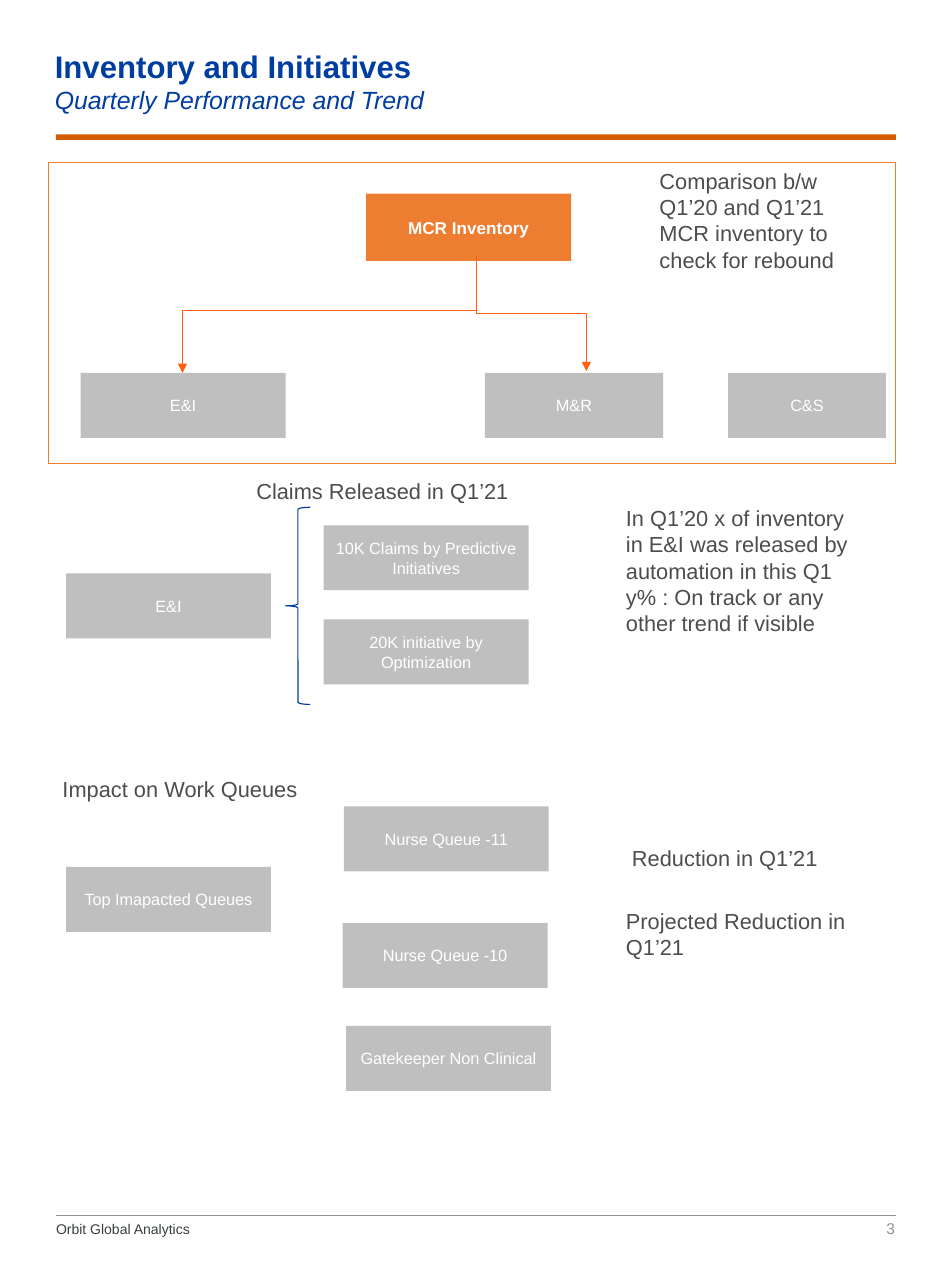
from pptx import Presentation
from pptx.dml.color import RGBColor
from pptx.enum.shapes import MSO_CONNECTOR as Connector, MSO_SHAPE as Shape
from pptx.enum.text import MSO_ANCHOR as Anchor, MSO_AUTO_SIZE as AutoSize, PP_ALIGN as Align
from pptx.oxml.ns import qn
from pptx.util import Inches, Pt
from lxml import etree

COLORS = {
    "title": "003DA1", "rule": "D45D00", "footer": "393E41", "muted": "8C9599",
    "orange": "ED7D31", "gray": "BFBFBF", "white": "FFFFFF", "arrow": "FF5F0E",
    "brace": "003C9D", "body": "4D4D4D",
}
BOX_WIDTH, BOX_HEIGHT = 1.83, 0.58


def color(name):
    return RGBColor.from_string(COLORS[name])


def add_run(paragraph, text, size, color_name, bold=False, italic=False):
    run = paragraph.add_run()
    run.text = text
    font = run.font
    font.name, font.size, font.bold, font.italic = "Arial", Pt(size), bold, italic
    font.color.rgb = color(color_name)


def add_shape(slide, kind, box, fill=None, line=None):
    shape = slide.shapes.add_shape(kind, *map(Inches, box))
    shape.shadow.inherit = False
    if fill:
        shape.fill.solid()
        shape.fill.fore_color.rgb = color(fill)
    else:
        shape.fill.background()
    if line:
        shape.line.color.rgb = color(line)
        shape.line.width = Pt(0.75)
    else:
        shape.line.fill.background()
    return shape


def add_node(slide, left, top, lines, width=BOX_WIDTH, height=BOX_HEIGHT,
             fill="gray", size=10.5, bold=False):
    frame = add_shape(slide, Shape.RECTANGLE, (left, top, width, height), fill).text_frame
    frame.word_wrap = True
    frame.vertical_anchor = Anchor.MIDDLE
    for index, line in enumerate(lines):
        paragraph = frame.add_paragraph() if index else frame.paragraphs[0]
        paragraph.alignment = Align.CENTER
        add_run(paragraph, line, size, "white", bold)


def add_note(slide, box, lines, gap=0):
    frame = slide.shapes.add_textbox(*map(Inches, box)).text_frame
    frame.word_wrap = True
    for index, line in enumerate(lines):
        paragraph = frame.add_paragraph() if index else frame.paragraphs[0]
        paragraph.space_before = Pt(gap if index else 0)
        paragraph.space_after = Pt(4)
        add_run(paragraph, line, 14, "body")


def add_line(slide, kind, start, end, color_name, width):
    line = slide.shapes.add_connector(kind, *map(Inches, start + end))
    line.line.color.rgb = color(color_name)
    line.line.width = Pt(width)
    etree.SubElement(line._element.spPr, qn("a:effectLst"))
    return line


def add_elbow_arrow(slide, start, end, width, preset, rotation=0):
    arrow = add_line(slide, Connector.ELBOW, start, end, "arrow", width)
    properties = arrow._element.spPr
    properties.find(qn("a:prstGeom")).set("prst", preset)
    properties.find(qn("a:xfrm")).set("rot", str(rotation * 60000))
    etree.SubElement(properties.find(qn("a:ln")), qn("a:tailEnd"), type="triangle")


def add_header(slide, left, top, width):
    title = slide.shapes.title
    title.left, title.top = Inches(left - 0.12), Inches(top)
    title.width, title.height = Inches(5.4), Inches(0.93)
    frame = title.text_frame
    frame.auto_size = AutoSize.NONE
    frame.word_wrap = True
    frame.vertical_anchor = Anchor.MIDDLE
    frame.margin_left = frame.margin_right = Inches(0.11)
    frame.margin_top = frame.margin_bottom = Inches(0.06)
    paragraph = frame.paragraphs[0]
    paragraph.alignment = Align.LEFT
    add_run(paragraph, "Inventory and Initiatives", 20, "title", bold=True)
    paragraph.add_line_break()
    add_run(paragraph, "Quarterly Performance and Trend", 16, "title", italic=True)
    add_shape(slide, Shape.RECTANGLE, (left, top + 0.94, width, 0.05), "rule")


def add_footer(slide, left, top, width):
    right = left + width
    add_line(slide, Connector.STRAIGHT, (left, top), (right, top), "muted", 0.5)
    parts = [
        ((left, top + 0.05, 5.95, 0.15), "Orbit Global Analytics", 9, "footer", Align.LEFT),
        ((right - 1, top - 0.08, 0.99, 0.28), "3", 10, "muted", Align.RIGHT),
    ]
    for box, text, size, color_name, alignment in parts:
        frame = slide.shapes.add_textbox(*map(Inches, box)).text_frame
        frame.word_wrap = True
        frame.vertical_anchor = Anchor.BOTTOM
        frame.margin_left = frame.margin_right = frame.margin_top = frame.margin_bottom = 0
        frame.paragraphs[0].alignment = alignment
        add_run(frame.paragraphs[0], text, size, color_name)


def add_inventory(slide, left, top, width, height):
    # Inventory root and its three segments
    add_node(slide, left + 2.84, top + 0.28, ["MCR Inventory"], height=0.6,
             fill="orange", size=11, bold=True)
    for offset, name, node_width in [(0.29, "E&I", BOX_WIDTH), (3.9, "M&R", 1.59),
                                     (6.07, "C&S", 1.41)]:
        add_node(slide, left + offset, top + 1.88, [name], node_width)

    # Arrows down to the segments
    add_elbow_arrow(slide, (left + 3.83, top + 1.32), (left + 1.2, top + 1.88),
                    0.5, "bentConnector2")
    add_elbow_arrow(slide, (left + 4.83, top + 0.86), (left + 3.8, top + 1.84),
                    0.75, "bentConnector3", rotation=270)

    add_note(slide, (left + 5.36, top, 1.83, 1.04),
             ["Comparison b/w Q1’20 and Q1’21 MCR inventory to check for rebound"])
    add_shape(slide, Shape.RECTANGLE, (left, top, width, height), line="orange")


def add_claims(slide, left, top):
    add_note(slide, (left + 1.6, top, 3.3, 0.34), ["Claims Released in Q1’21"])
    add_node(slide, left, top + 0.9, ["E&I"])
    add_shape(slide, Shape.LEFT_BRACE, (left + 1.96, top + 0.31, 0.22, 1.76), line="brace")
    releases = [["10K Claims by Predictive", "Initiatives"],
                ["20K initiative by Optimization"]]
    for index, lines in enumerate(releases):
        add_node(slide, left + 2.3, top + 0.47 + index * 0.84, lines)
    add_note(slide, (left + 4.9, top + 0.24, 2.25, 1.28),
             ["In Q1’20 x of inventory in E&I was released by automation in this Q1 "
              "y% : On track or any other trend if visible"])


def add_queues(slide, left, top):
    add_note(slide, (left - 0.13, top, 3.3, 0.34), ["Impact on Work Queues"])
    add_node(slide, left, top + 0.86, ["Top Imapacted Queues"])
    for x, y, name in [(2.48, 0.32, "Nurse Queue -11"), (2.47, 1.36, "Nurse Queue -10"),
                       (2.5, 2.28, "Gatekeeper Non Clinical")]:
        add_node(slide, left + x, top + y, [name])
    add_note(slide, (left + 4.9, top + 0.61, 2.25, 1.16),
             [" Reduction in Q1’21", "Projected Reduction in Q1’21"], gap=20)


def main():
    presentation = Presentation()
    presentation.slide_width, presentation.slide_height = Inches(8.5), Inches(11.5)
    slide = presentation.slides.add_slide(presentation.slide_layouts[5])
    add_header(slide, 0.5, 0.26, 7.5)
    add_inventory(slide, 0.43, 1.45, 7.57, 2.69)
    add_claims(slide, 0.59, 4.22)
    add_queues(slide, 0.59, 6.88)
    add_footer(slide, 0.5, 10.85, 7.5)
    presentation.save("out.pptx")


if __name__ == "__main__":
    main()
